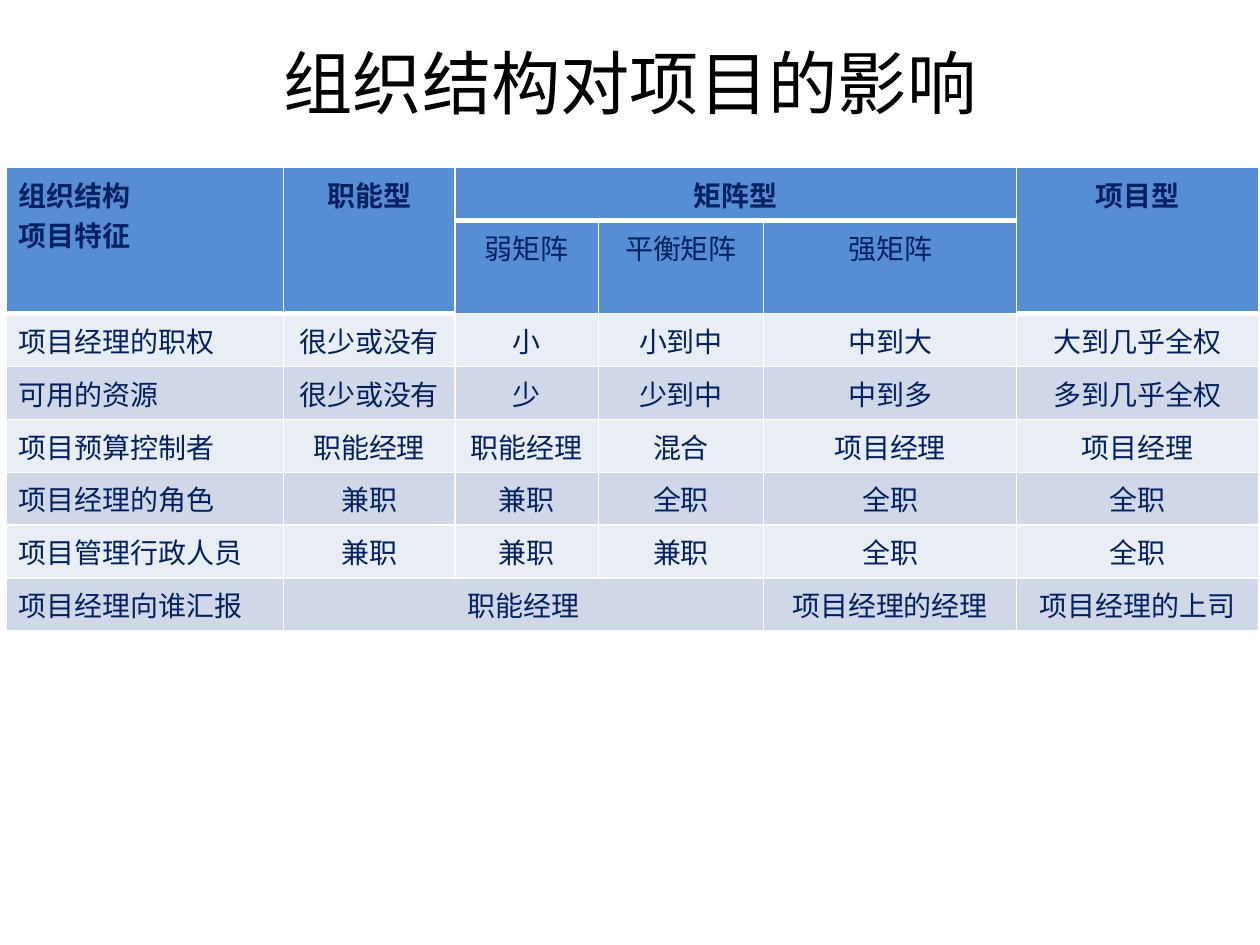
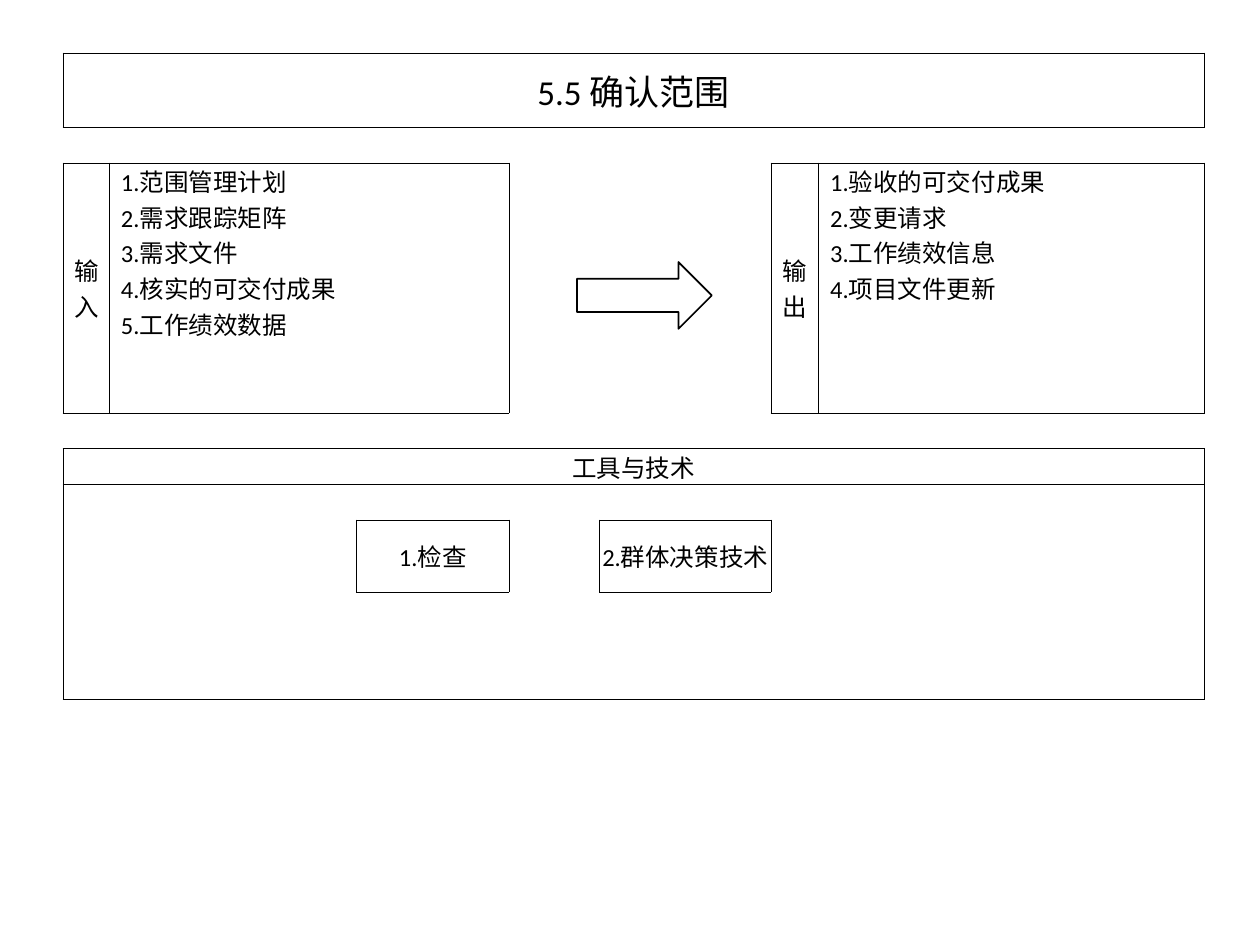
"""Build two project-management slides: an organisation matrix and a scope-validation process."""
from collections import defaultdict
from dataclasses import dataclass
from typing import NamedTuple

from lxml import etree
from pptx import Presentation
from pptx import util as u
from pptx.dml import color as dml
from pptx.enum import shapes, text
from pptx.oxml import ns

LEFT, CENTER = text.PP_ALIGN.LEFT, text.PP_ALIGN.CENTER
TOP, MIDDLE = text.MSO_ANCHOR.TOP, text.MSO_ANCHOR.MIDDLE
NO_STYLE = "{2D5ABB26-0587-4C30-8999-92F81FD0307C}"
SIDES = ("L", "R", "T", "B")


@dataclass(frozen=True)
class Theme:
    font: str = "Calibri"
    ink: str = "000000"
    navy: str = "002060"
    white: str = "FFFFFF"
    header: str = "558ED5"
    bands: tuple[str, str] = ("E9EDF4", "D0D8E8")
    title_size: float = 39.6
    heading_size: float = 20
    matrix_size: float = 16
    process_size: float = 14
    thin: float = 0.5
    grid: float = 1
    thick: float = 3


THEME = Theme()


class Area(NamedTuple):
    top: int
    left: int
    rows: int = 1
    cols: int = 1


@dataclass(frozen=True)
class Block:
    area: Area
    words: str
    align: int = CENTER
    bold: bool = False
    fill: str | None = None
    size: float = THEME.process_size
    indent: float = 0


class Panel(NamedTuple):
    left: int
    label: str
    items: tuple[str, ...]


MATRIX_COLS = (2.2, 1.36, 1.14, 1.31, 2.01, 1.92)
MATRIX_HEIGHT, MATRIX_TALL = 3.68, {1: 0.74}
MATRIX_HEADS = (
    (Area(0, 0, 2), "组织结构\n项目特征"),
    (Area(0, 1, 2), "职能型"),
    (Area(0, 2, 1, 3), "矩阵型"),
    (Area(0, 5, 2), "项目型"),
    (Area(1, 2), "弱矩阵"),
    (Area(1, 3), "平衡矩阵"),
    (Area(1, 4), "强矩阵"),
)
MATRIX_ROWS = (
    ("项目经理的职权", "很少或没有", "小", "小到中", "中到大", "大到几乎全权"),
    ("可用的资源", "很少或没有", "少", "少到中", "中到多", "多到几乎全权"),
    ("项目预算控制者", "职能经理", "职能经理", "混合", "项目经理", "项目经理"),
    ("项目经理的角色", "兼职", "兼职", "全职", "全职", "全职"),
    ("项目管理行政人员", "兼职", "兼职", "兼职", "全职", "全职"),
    ("项目经理向谁汇报", "职能经理", None, None, "项目经理的经理", "项目经理的上司"),
)
PROCESS_COLS = (0.37, 1.3, 0.66, 1.21, 0.72, 1.36, 0.38, 0.84, 1.3, 0.92)
TOOL_ROW = 12
PROCESS_HEIGHT, PROCESS_TALL = 5.13, {0: 0.59, TOOL_ROW: 0.57}
PANEL_TOP, PANEL_ROWS = 2, 7
PANELS = (
    Panel(0, "输入", ("范围管理计划", "需求跟踪矩阵", "需求文件", "核实的可交付成果", "工作绩效数据")),
    Panel(6, "输出", ("验收的可交付成果", "变更请求", "工作绩效信息", "项目文件更新")),
)
TOOLS = ((3, "1.检查"), (5, "2.群体决策技术"))


def row_heights(total: float, count: int, tall: dict[int, float]) -> tuple[float, ...]:
    """Share what the tall rows leave equally among the other rows."""
    plain = (total - sum(tall.values())) / (count - len(tall))
    return tuple(tall.get(row, plain) for row in range(count))


def write_text(frame, words: str, *, size: float, color: str,
               bold: bool = False, align: int = CENTER) -> None:
    """Write each line of words as one formatted paragraph."""
    for number, line in enumerate(words.split("\n")):
        para = frame.add_paragraph() if number else frame.paragraphs[0]
        para.alignment = align
        span = para.add_run()
        span.text = line
        span.font.name, span.font.size, span.font.bold = THEME.font, u.Pt(size), bold
        span.font.color.rgb = dml.RGBColor.from_string(color)


class Grid:
    """A table without a style, with merged blocks and collected borders."""

    def __init__(self, page, left: float, top: float, widths: tuple[float, ...],
                 heights: tuple[float, ...], *, color: str, margins: tuple[float, float],
                 size: float, anchor: int) -> None:
        """Add the table and prepare every cell."""
        holder = page.shapes.add_table(
            len(heights), len(widths), u.Inches(left), u.Inches(top),
            u.Inches(sum(widths)), u.Inches(sum(heights)))
        self.table = holder.table
        self.color = color
        self.lines = defaultdict(dict)
        self.merged = []
        self.table.first_row = self.table.horz_banding = False
        self.table._tbl.tblPr.find(ns.qn("a:tableStyleId")).text = NO_STYLE
        for column, width in zip(self.table.columns, widths):
            column.width = u.Inches(width)
        for row, height in zip(self.table.rows, heights):
            row.height = u.Inches(height)
        for cell in self.table.iter_cells():
            cell.margin_left = cell.margin_right = u.Inches(margins[0])
            cell.margin_top = cell.margin_bottom = u.Inches(margins[1])
            cell.vertical_anchor = anchor
            cell.fill.background()
            etree.SubElement(cell.text_frame.paragraphs[0]._p, ns.qn("a:endParaRPr"),
                             sz=str(int(size * 100)))

    def merge(self, area: Area) -> None:
        """Join the cells of an area."""
        if area.rows * area.cols > 1:
            last = self.table.cell(area.top + area.rows - 1, area.left + area.cols - 1)
            self.table.cell(area.top, area.left).merge(last)
            self.merged.append(area)

    def place(self, block: Block, color: str) -> None:
        """Merge, fill and write one block."""
        self.merge(block.area)
        cell = self.table.cell(block.area.top, block.area.left)
        if block.fill:
            cell.fill.solid()
            cell.fill.fore_color.rgb = dml.RGBColor.from_string(block.fill)
        if block.indent:
            cell.margin_left = u.Inches(block.indent)
        write_text(cell.text_frame, block.words, size=block.size, color=color,
                   bold=block.bold, align=block.align)

    def mark(self, row: int, col: int, side: str, width: float) -> None:
        """Keep the widest line asked for on one side of a cell."""
        if 0 <= row < len(self.table.rows) and 0 <= col < len(self.table.columns):
            sides = self.lines[row, col]
            sides[side] = max(width, sides.get(side, 0))

    def outline(self, area: Area, width: float, bottom: float | None = None) -> None:
        """Mark the lines around an area on both sides of each edge."""
        top, left, rows, cols = area
        low, right = top + rows, left + cols
        for col in range(left, right):
            self.mark(top, col, "T", width)
            self.mark(top - 1, col, "B", width)
            self.mark(low - 1, col, "B", bottom or width)
            self.mark(low, col, "T", bottom or width)
        for row in range(top, low):
            self.mark(row, left, "L", width)
            self.mark(row, left - 1, "R", width)
            self.mark(row, right - 1, "R", width)
            self.mark(row, right, "L", width)

    def draw_lines(self) -> None:
        """Write all four sides of every cell, with no line where none was marked."""
        for top, left, rows, cols in self.merged:
            for row in range(top, top + rows):
                for col in range(left, left + cols):
                    for side, width in dict(self.lines[row, col]).items():
                        self.mark(top, left, side, width)
        for row in range(len(self.table.rows)):
            for col in range(len(self.table.columns)):
                sides = self.lines[row, col]
                properties = self.table.cell(row, col)._tc.get_or_add_tcPr()
                for index, side in enumerate(SIDES):
                    line = etree.Element(ns.qn(f"a:ln{side}"))
                    if side in sides:
                        line.set("w", str(u.Pt(sides[side])))
                        fill = etree.SubElement(line, ns.qn("a:solidFill"))
                        etree.SubElement(fill, ns.qn("a:srgbClr"), val=self.color)
                    else:
                        etree.SubElement(line, ns.qn("a:noFill"))
                    properties.insert(index, line)


def matrix_blocks() -> list[Block]:
    """List the header and body blocks of the organisation matrix."""
    blocks = [Block(area, words, LEFT if area.left == 0 else CENTER, area.top == 0,
                    THEME.header, THEME.matrix_size) for area, words in MATRIX_HEADS]
    for number, row in enumerate(MATRIX_ROWS):
        for col, words in enumerate(row):
            if words is None:
                continue
            cols = 1
            while col + cols < len(row) and row[col + cols] is None:
                cols += 1
            blocks.append(Block(Area(number + 2, col, 1, cols), words,
                                CENTER if col else LEFT, False,
                                THEME.bands[number % 2], THEME.matrix_size))
    return blocks


def build_matrix_page(page) -> None:
    """Draw the title and the organisation matrix."""
    box = page.shapes.add_textbox(u.Inches(0.5), u.Inches(0.3), u.Inches(9), u.Inches(0.7))
    box.text_frame.word_wrap = True
    box.text_frame.vertical_anchor = MIDDLE
    write_text(box.text_frame, "组织结构对项目的影响", size=THEME.title_size, color=THEME.ink)
    heights = row_heights(MATRIX_HEIGHT, len(MATRIX_ROWS) + 2, MATRIX_TALL)
    grid = Grid(page, 0.05, 1.33, MATRIX_COLS, heights, color=THEME.white,
                margins=(0.1, 0.05), size=THEME.matrix_size, anchor=TOP)
    for block in matrix_blocks():
        grid.place(block, THEME.navy)
        grid.outline(block.area, THEME.grid, THEME.thick if block.area.top == 0 else None)
    grid.draw_lines()


def build_process_page(page) -> None:
    """Draw the inputs, outputs and tools of scope validation."""
    heights = row_heights(PROCESS_HEIGHT, 16, PROCESS_TALL)
    grid = Grid(page, 0.5, 0.42, PROCESS_COLS, heights, color=THEME.ink,
                margins=(0, 0), size=THEME.process_size, anchor=MIDDLE)
    width = len(PROCESS_COLS)
    framed = [Block(Area(0, 0, 1, width), "5.5 确认范围", size=THEME.heading_size),
              Block(Area(10, 0, 1, width), "工具与技术")]
    framed += [Block(Area(PANEL_TOP, panel.left, PANEL_ROWS), panel.label) for panel in PANELS]
    framed += [Block(Area(TOOL_ROW, col), words) for col, words in TOOLS]
    for block in framed:
        grid.place(block, THEME.ink)
        grid.outline(block.area, THEME.thin)
    for panel in PANELS:
        first = panel.left + 1
        grid.outline(Area(PANEL_TOP, first, PANEL_ROWS, 3), THEME.thin)
        for number in range(PANEL_ROWS):
            area = Area(PANEL_TOP + number, first, 1, 3)
            if number < len(panel.items):
                words = f"{number + 1}.{panel.items[number]}"
                grid.place(Block(area, words, LEFT, indent=0.09), THEME.ink)
            else:
                grid.merge(area)
    grid.merge(Area(3, 4, 3, 2))
    grid.outline(Area(11, 0, 5, width), THEME.thin)
    grid.draw_lines()
    arrow = page.shapes.add_shape(shapes.MSO_SHAPE.RIGHT_ARROW, u.Inches(4.58),
                                  u.Inches(2.08), u.Inches(1.07), u.Inches(0.53))
    arrow.shadow.inherit = False
    arrow.fill.background()
    arrow.line.color.rgb = dml.RGBColor.from_string(THEME.ink)
    arrow.line.width = u.Pt(THEME.grid)


def main() -> None:
    """Build and save the deck."""
    deck = Presentation()
    deck.slide_width, deck.slide_height = u.Inches(10), u.Inches(7.5)
    for build in (build_matrix_page, build_process_page):
        build(deck.slides.add_slide(deck.slide_layouts[6]))
    deck.save("out.pptx")


if __name__ == "__main__":
    main()
